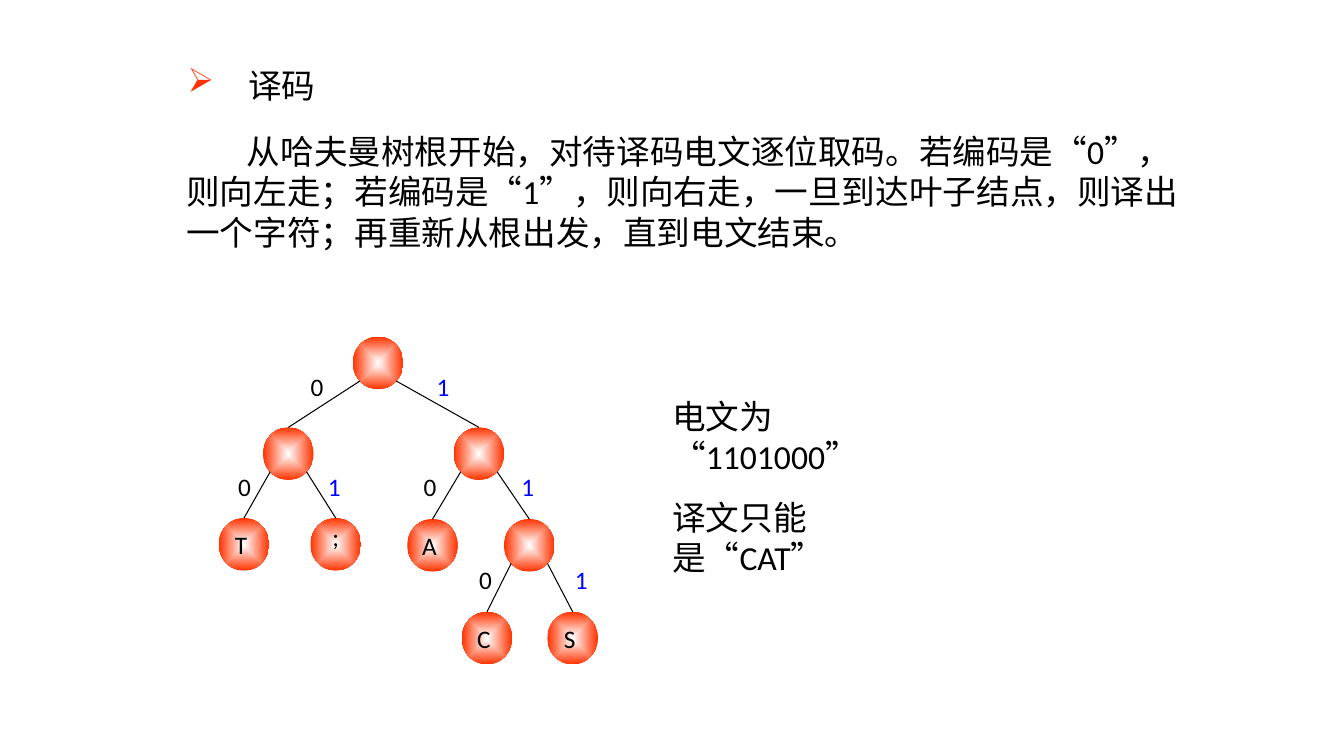
from pptx import Presentation
from pptx.dml.color import RGBColor
from pptx.enum.shapes import MSO_CONNECTOR, MSO_SHAPE
from pptx.enum.text import MSO_ANCHOR, MSO_AUTO_SIZE, PP_ALIGN
from pptx.oxml import parse_xml
from pptx.oxml.ns import nsdecls, qn
from pptx.util import Inches, Pt

OVAL = MSO_SHAPE.OVAL
STRAIGHT = MSO_CONNECTOR.STRAIGHT
TOP, MIDDLE = MSO_ANCHOR.TOP, MSO_ANCHOR.MIDDLE
LEFT, CENTER = PP_ALIGN.LEFT, PP_ALIGN.CENTER
NO_AUTOFIT = MSO_AUTO_SIZE.NONE

BLACK = RGBColor(0, 0, 0)
BLUE = RGBColor(0, 0, 0xFF)
WHITE = RGBColor(0xFF, 0xFF, 0xFF)
ORANGE = RGBColor(0xFF, 0x33, 0)
FONT = "Calibri"

NODE_WIDTH, NODE_HEIGHT = 0.5, 0.52
BRANCH_OFFSET = 0.18  # where a branch leaves its parent, from the centre
INDENT = 0.6

RULES = [
    "从哈夫曼树根开始，对待译码电文逐位取码。若编码是“0”，",
    "则向左走；若编码是“1”，则向右走，一旦到达叶子结点，则译出",
    "一个字符；再重新从根出发，直到电文结束。",
]

# Node: centre x, centre y, letter; relative to the tree's corner
NODES = {
    "root": (1.58, 0.26, ""),
    "left": (0.69, 1.16, ""),
    "right": (2.58, 1.16, ""),
    "T": (0.25, 2.06, "T"),
    ";": (1.16, 2.06, ";"),
    "A": (2.12, 2.07, "A"),
    "inner": (3.08, 2.07, ""),
    "C": (2.66, 2.99, "C"),
    "S": (3.51, 2.99, "S"),
}
# Branch: parent, child, bit, label centre relative to the parent's centre
BRANCHES = [
    ("root", "left", "0", -0.6, 0.23),
    ("root", "right", "1", 0.65, 0.23),
    ("left", "T", "0", -0.43, 0.33),
    ("left", ";", "1", 0.46, 0.33),
    ("right", "A", "0", -0.48, 0.33),
    ("right", "inner", "1", 0.49, 0.33),
    ("inner", "C", "0", -0.43, 0.34),
    ("inner", "S", "1", 0.52, 0.34),
]


def format_text(frame, size, color=BLACK, align=LEFT, anchor=TOP, wrap=True):
    frame.word_wrap = wrap
    frame.auto_size = NO_AUTOFIT
    frame.vertical_anchor = anchor
    for para in frame.paragraphs:
        para.alignment = align
        for span in para.runs:
            span.font.name = FONT
            span.font.size = Pt(size)
            span.font.color.rgb = color


def add_text(page, box, text, size, **style):
    shape = page.shapes.add_textbox(*map(Inches, box))
    shape.text_frame.text = text
    format_text(shape.text_frame, size, **style)
    return shape


def add_heading(page, box):
    title = page.shapes.title
    title.left, title.top, title.width, title.height = map(Inches, box)
    title.text_frame.text = "译码"
    # Arrow bullet with a hanging indent
    props = title.text_frame.paragraphs[0]._p.get_or_add_pPr()
    props.set("marL", str(Inches(INDENT)))
    props.set("indent", str(-Inches(INDENT)))
    props.append(parse_xml(
        f'<a:buClr {nsdecls("a")}><a:srgbClr val="{ORANGE}"/></a:buClr>'))
    props.append(parse_xml(f'<a:buChar {nsdecls("a")} char="➢"/>'))
    format_text(title.text_frame, 24)


def add_rules(page, box):
    shape = add_text(page, box, "\n".join(RULES), 24, wrap=False)
    first = shape.text_frame.paragraphs[0]._p.get_or_add_pPr()
    first.set("indent", str(Inches(INDENT)))


def add_node(page, x, y, letter):
    node = page.shapes.add_shape(
        OVAL, Inches(x - NODE_WIDTH / 2), Inches(y - NODE_HEIGHT / 2),
        Inches(NODE_WIDTH), Inches(NODE_HEIGHT))
    node.shadow.inherit = False
    node.line.fill.background()
    # Gradient from a white centre to an orange rim
    node.fill.gradient()
    for stop, color in zip(node.fill.gradient_stops, (WHITE, ORANGE)):
        stop.color.rgb = color
    gradient = node._element.spPr.find(qn("a:gradFill"))
    gradient.replace(gradient.find(qn("a:lin")), parse_xml(
        f'<a:path {nsdecls("a")} path="shape"><a:fillToRect '
        'l="50000" t="50000" r="50000" b="50000"/></a:path>'))
    if letter:
        frame = node.text_frame
        frame.text = letter
        frame.margin_left = frame.margin_top = 0
        frame.margin_right = Inches(0 if letter == ";" else 0.06)
        frame.margin_bottom = Inches(0.16 if letter == ";" else 0)
        format_text(frame, 18, align=CENTER, anchor=MIDDLE, wrap=False)
    return node


def add_tree(page, left, top):
    centres = {name: (left + x, top + y) for name, (x, y, _) in NODES.items()}
    nodes = {name: add_node(page, *centres[name], NODES[name][2])
             for name in NODES}
    for parent, child, bit, label_x, label_y in BRANCHES:
        x, y = centres[parent]
        side = -BRANCH_OFFSET if bit == "0" else BRANCH_OFFSET
        child_x, child_y = centres[child]
        branch = page.shapes.add_connector(
            STRAIGHT, Inches(x + side), Inches(y + BRANCH_OFFSET),
            Inches(child_x), Inches(child_y - NODE_HEIGHT / 2))
        branch.end_connect(nodes[child], 0)
        branch.line.color.rgb = BLACK
        branch.line.width = Pt(0.75)
        branch._element.spPr.append(
            parse_xml(f'<a:effectLst {nsdecls("a")}/>'))
        # Bit beside the branch
        add_text(page, (x + label_x - 0.17, y + label_y - 0.2, 0.33, 0.4),
                 bit, 18, color=BLACK if bit == "0" else BLUE,
                 align=CENTER, anchor=MIDDLE, wrap=False)


def add_example(page, left, top):
    for row, text in enumerate(("电文为 “1101000”", "译文只能是“CAT”")):
        add_text(page, (left, top + row, 2.4, 0.9), text, 24)


def main():
    deck = Presentation()
    deck.slide_width, deck.slide_height = Inches(13.33), Inches(7.5)
    page = deck.slides.add_slide(deck.slide_layouts[5])
    add_heading(page, (1.76, 0.59, 1.55, 0.5))
    add_rules(page, (1.75, 1.25, 10.21, 1.31))
    add_tree(page, 2.17, 3.34)
    add_example(page, 6.57, 3.88)
    deck.save("out.pptx")


if __name__ == "__main__":
    main()
